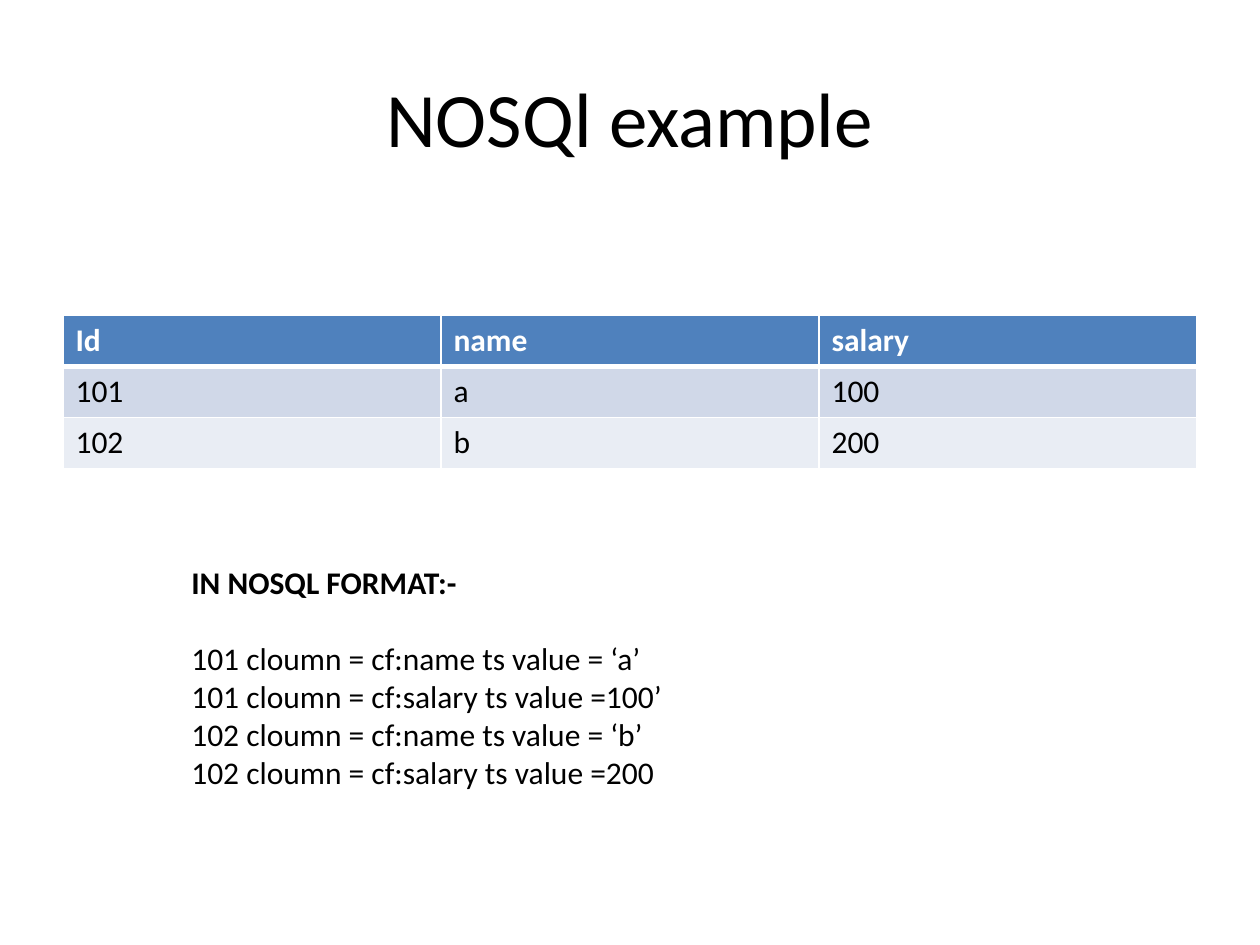
from pptx import Presentation
from pptx.dml.color import RGBColor
from pptx.enum.text import MSO_ANCHOR, MSO_AUTO_SIZE, PP_ALIGN
from pptx.oxml import parse_xml
from pptx.oxml.ns import nsdecls
from pptx.util import Inches, Pt


def paint(code):
    return RGBColor.from_string(code)


class Deck:
    font = "Calibri"
    white, black, blue = "FFFFFF", "000000", "4F81BD"
    bands = ("D0D8E8", "E9EDF4")

    def __init__(self, wide, high):
        self.prs = Presentation()
        self.prs.slide_width = Inches(wide)
        self.prs.slide_height = Inches(high)
        self.slide = self.prs.slides.add_slide(self.prs.slide_layouts[5])

    def style(self, para, size, color, bold=False):
        look = {"name": self.font, "size": Pt(size), "bold": bold}
        for key, value in look.items():
            setattr(para.font, key, value)
        para.font.color.rgb = paint(color)

    def title(self, text, box):
        shape = self.slide.shapes.title
        for key, value in zip(("left", "top", "width", "height"), box):
            setattr(shape, key, Inches(value))
        frame = shape.text_frame
        frame.text = text
        frame.vertical_anchor = MSO_ANCHOR.MIDDLE
        para = frame.paragraphs[0]
        para.alignment = PP_ALIGN.CENTER
        self.style(para, 44, self.black)

    def border(self, cell, side, width):
        cell._tc.get_or_add_tcPr().append(parse_xml(
            f'<a:ln{side} {nsdecls("a")} w="{Pt(width)}"><a:solidFill>'
            f'<a:srgbClr val="{self.white}"/></a:solidFill></a:ln{side}>'))

    def table(self, rows, box):
        grid = self.slide.shapes.add_table(
            len(rows), len(rows[0]), *map(Inches, box)).table
        for r, row in enumerate(rows):
            head = r == 0
            for c, text in enumerate(row):
                cell = grid.cell(r, c)
                cell.text = text
                # Heavier rule between header and body
                for side in "LRTB":
                    heavy = (r, side) in ((0, "B"), (1, "T"))
                    self.border(cell, side, 3 if heavy else 1)
                cell.fill.solid()
                cell.fill.fore_color.rgb = paint(
                    self.blue if head else self.bands[(r - 1) % 2])
                self.style(cell.text_frame.paragraphs[0], 18,
                           self.white if head else self.black, head)

    def note(self, head, lines, box):
        frame = self.slide.shapes.add_textbox(*map(Inches, box)).text_frame
        frame.word_wrap = False
        frame.auto_size = MSO_AUTO_SIZE.SHAPE_TO_FIT_TEXT
        frame.text = "\n".join([head, *lines])
        for i, para in enumerate(frame.paragraphs):
            self.style(para, 18, self.black, i == 0)
        # One line of space under the heading
        frame.paragraphs[1].space_before = Pt(22)


def main():
    deck = Deck(10, 7.5)

    # Title
    deck.title("NOSQl example", (0.5, 0.3, 9, 1.25))

    # Relational table
    deck.table([("Id", "name", "salary"),
                ("101", "a", "100"),
                ("102", "b", "200")], (0.5, 2.5, 9, 1.22))

    # The same rows as column-family entries
    deck.note("IN NOSQL FORMAT:-",
              ["101 cloumn = cf:name ts value = ‘a’",
               "101 cloumn = cf:salary ts value =100’",
               "102 cloumn = cf:name ts value = ‘b’",
               "102 cloumn = cf:salary ts value =200"],
              (1.42, 4.42, 3.98, 1.92))

    deck.prs.save("out.pptx")


if __name__ == "__main__":
    main()
